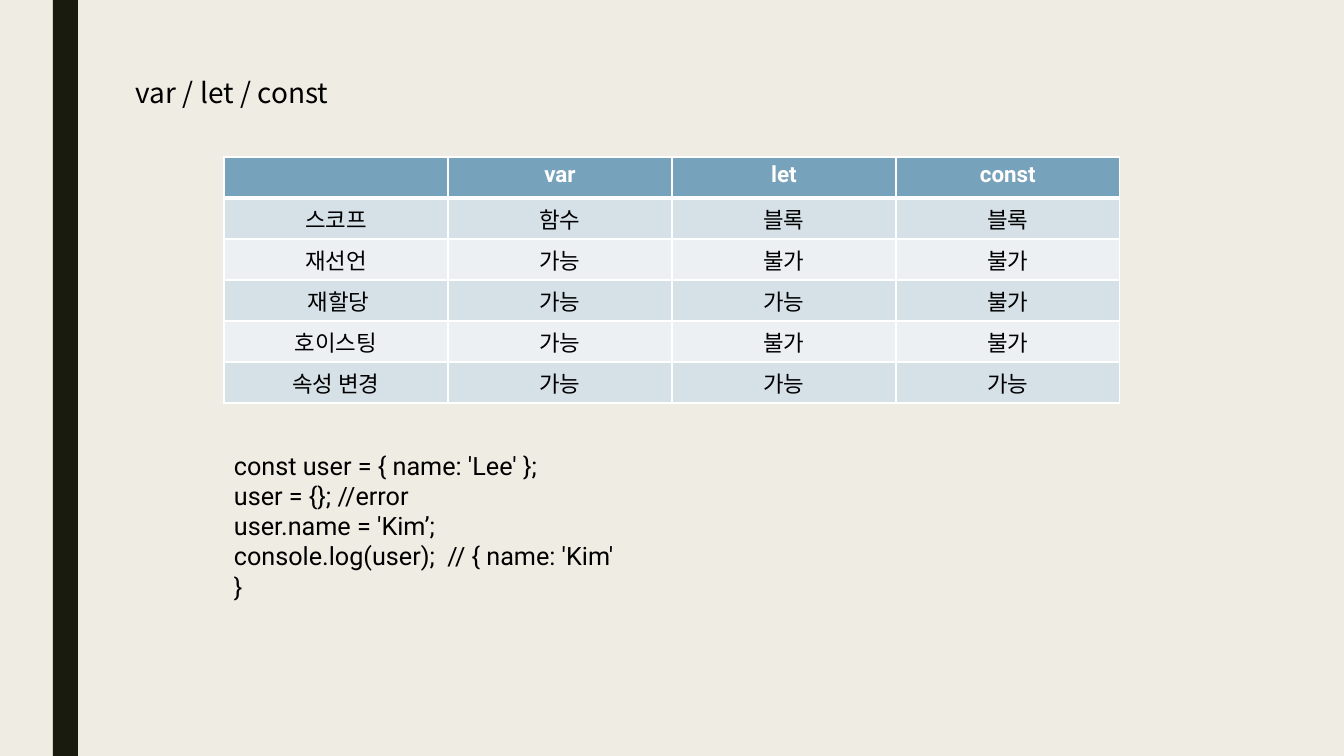
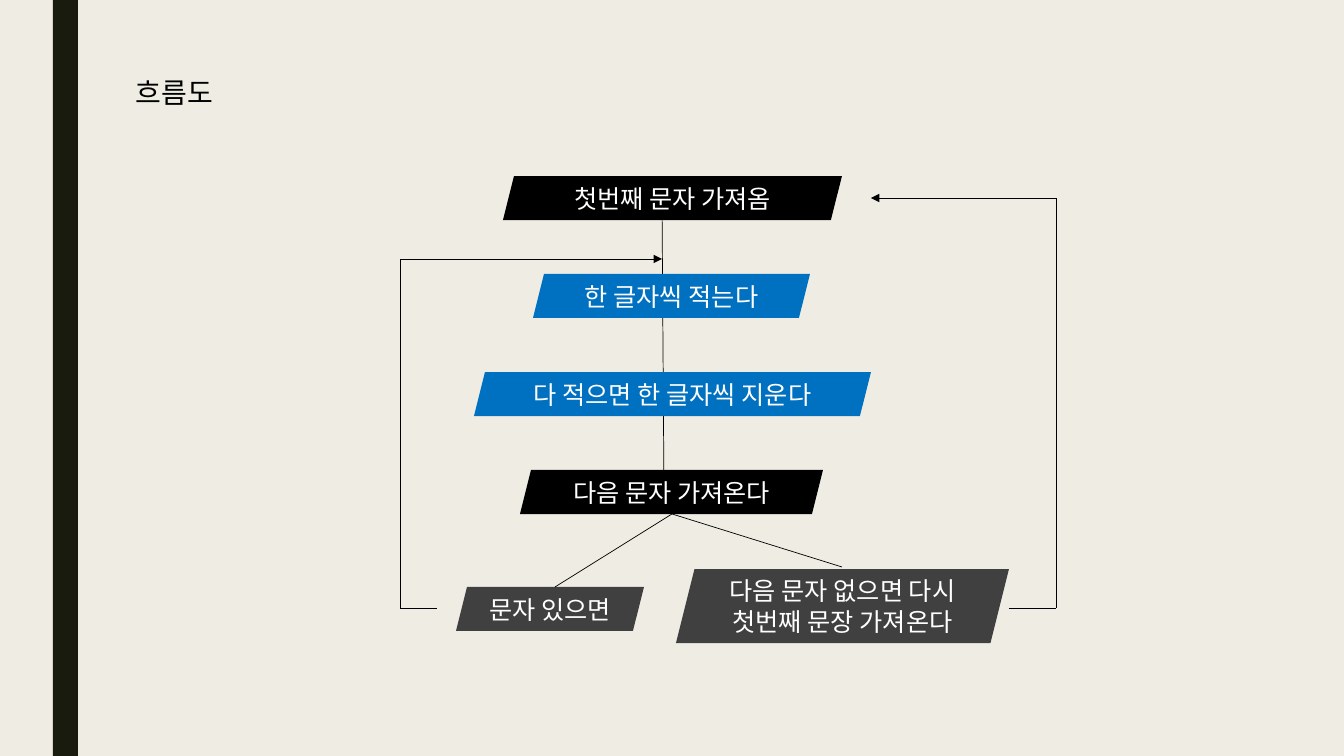
from pptx import Presentation
from pptx.dml.color import RGBColor
from pptx.enum.shapes import MSO_SHAPE as Shape, MSO_CONNECTOR as Conn
from pptx.enum.text import PP_ALIGN as Align, MSO_ANCHOR as Anchor
from pptx.oxml import parse_xml
from pptx.oxml.ns import nsdecls
from pptx.util import Pt

CREAM = RGBColor(0xEF, 0xED, 0xE3)
DARK = RGBColor(0x19, 0x1B, 0x0E)
BLACK = RGBColor(0x00, 0x00, 0x00)
WHITE = RGBColor(0xFF, 0xFF, 0xFF)
BLUE = RGBColor(0x00, 0x70, 0xC0)
GREY = RGBColor(0x40, 0x40, 0x40)
HEAD = RGBColor(0x77, 0xA2, 0xBB)
ODD = RGBColor(0xD6, 0xE0, 0xE7)
EVEN = RGBColor(0xEC, 0xF0, 0xF3)
NOTO = "Noto Sans CJK KR"
ROBOTO = "Roboto"
PX = 12192000 / 1344


def write(text, frame, size=18, font=NOTO, color=BLACK, bold=False, align=Align.LEFT):
    frame.word_wrap = True
    frame.text = text
    for par in frame.paragraphs:
        par.alignment = align
        for run in par.runs:
            run.font.size = Pt(size)
            run.font.name = font
            run.font.bold = bold
            run.font.color.rgb = color
            run.font._element.append(parse_xml(f'<a:ea {nsdecls("a")} typeface="{NOTO}"/>'))


def draw(slide, start, end, width, arrow=False):
    ends = [round(n * PX) for n in (*start, *end)]
    line = slide.shapes.add_connector(Conn.STRAIGHT, *ends)
    line.line.color.rgb = BLACK
    line.line.width = Pt(width)
    if arrow:
        line.line._get_or_add_ln().append(
            parse_xml(f'<a:tailEnd {nsdecls("a")} type="triangle"/>'))
    line._element.spPr.append(parse_xml(f'<a:effectLst {nsdecls("a")}/>'))


deck = Presentation()
deck.slide_width = round(1344 * PX)
deck.slide_height = round(756 * PX)
fill = deck.slide_master.background.fill
fill.solid()
fill.fore_color.rgb = CREAM

slides = []
for title, width in (("var / let / const", 216), ("흐름도", 100)):
    slide = deck.slides.add_slide(deck.slide_layouts[6])
    band = slide.shapes.add_shape(
        Shape.RECTANGLE, *[round(n * PX) for n in (53, 0, 25, 756)])
    band.shadow.inherit = False
    band.fill.solid()
    band.fill.fore_color.rgb = DARK
    band.line.fill.background()
    box = slide.shapes.add_textbox(*[round(n * PX) for n in (126, 71, width, 44)])
    write(title, box.text_frame, size=20)
    slides.append(slide)
scope, flow = slides

rows = [
    ("", "var", "let", "const"),
    ("스코프", "함수", "블록", "블록"),
    ("재선언", "가능", "불가", "불가"),
    (" 재할당", "가능", "가능", "불가"),
    ("호이스팅", "가능", "불가", "불가"),
    ("속성 변경", "가능", "가능", "가능"),
]
table = scope.shapes.add_table(
    6, 4, *[round(n * PX) for n in (224, 157, 896, 246)]).table
for row, words in enumerate(rows):
    table.rows[row].height = round(41 * PX)
    for col, word in enumerate(words):
        cell = table.cell(row, col)
        cell.margin_bottom = round(3 * PX)
        write(word, cell.text_frame, size=16, font=ROBOTO, bold=row == 0,
              color=BLACK if row else WHITE, align=Align.CENTER)
        props = cell._tc.get_or_add_tcPr()
        for side in "LRTB":
            thick = 3 if (row, side) in ((0, "B"), (1, "T")) else 1
            props.append(parse_xml(
                f'<a:ln{side} {nsdecls("a")} w="{Pt(thick)}"><a:solidFill>'
                f'<a:srgbClr val="{WHITE}"/></a:solidFill></a:ln{side}>'))
        cell.fill.solid()
        cell.fill.fore_color.rgb = HEAD if row == 0 else ODD if row % 2 else EVEN

code = """const user = { name: 'Lee' };
user = {}; //error
user.name = 'Kim’;
console.log(user);  // { name: 'Kim' }"""
box = scope.shapes.add_textbox(*[round(n * PX) for n in (224, 445, 405, 132)])
write(code, box.text_frame, font=ROBOTO)

draw(flow, (662, 198), (664, 488), 0.5)
steps = [
    ("첫번째 문자 가져옴", 503, 176, 339, 44, BLACK),
    ("한 글자씩 적는다", 533, 274, 277, 44, BLUE),
    ("다 적으면 한 글자씩 지운다", 474, 372, 397, 44, BLUE),
    ("다음 문자 가져온다", 520, 470, 303, 44, BLACK),
    ("다음 문자 없으면 다시 첫번째 문장 가져온다", 676, 569, 333, 74, GREY),
    ("문자 있으면", 456, 587, 188, 44, GREY),
]
for text, left, top, width, height, color in steps:
    step = flow.shapes.add_shape(
        Shape.PARALLELOGRAM, *[round(n * PX) for n in (left, top, width, height)])
    step.shadow.inherit = False
    step.fill.solid()
    step.fill.fore_color.rgb = color
    step.line.fill.background()
    frame = step.text_frame
    frame.margin_left = frame.margin_right = round(5 * PX)
    frame.margin_top = frame.margin_bottom = 0
    frame.vertical_anchor = Anchor.MIDDLE
    write(text, frame, color=WHITE, align=Align.CENTER)

for end in ((555, 587), (842, 567)):
    draw(flow, (672, 514), end, 0.5)
loops = [
    [(437, 608), (400, 608), (400, 259), (662, 259)],
    [(1009, 608), (1056, 608), (1056, 198), (871, 198)],
]
for points in loops:
    for start, end in zip(points, points[1:]):
        draw(flow, start, end, 0.25, arrow=end == points[-1])

deck.save("out.pptx")
